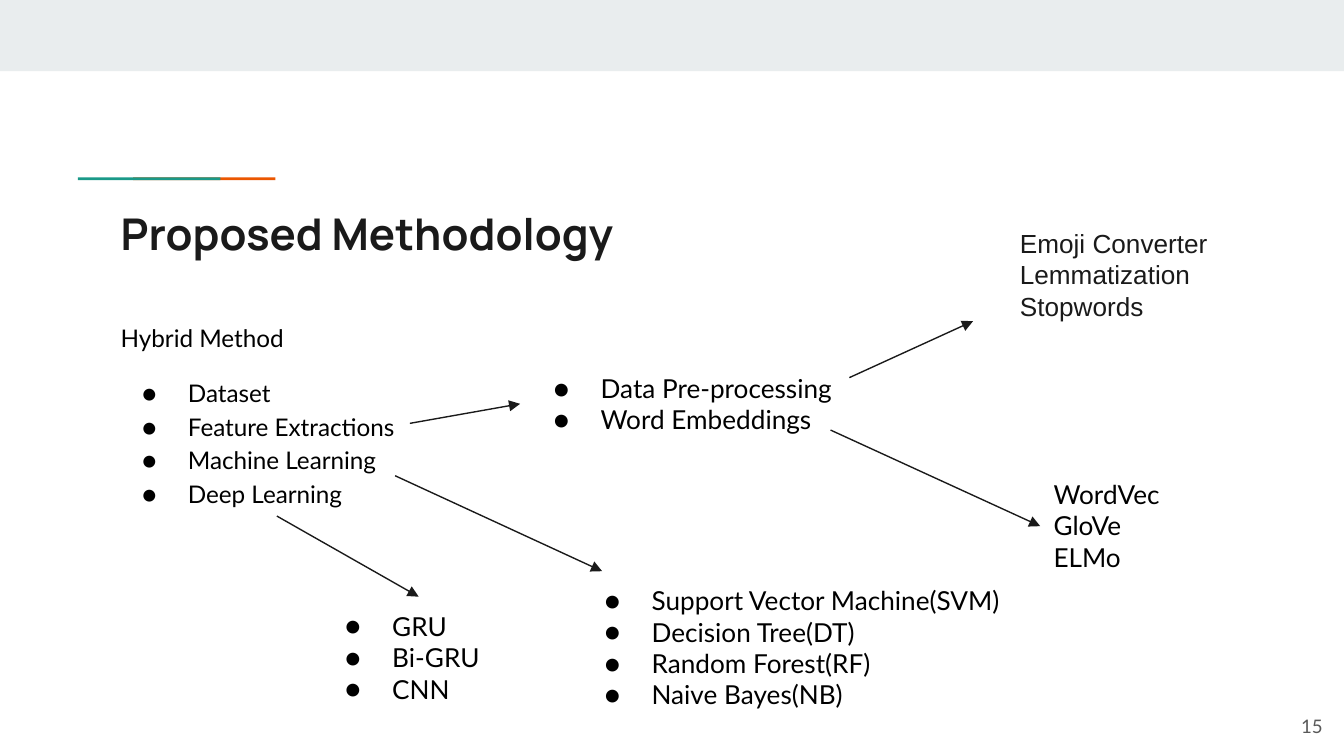
from lxml import etree
from pptx import Presentation
from pptx import util as u
from pptx.dml.color import RGBColor
from pptx.enum import shapes, text
from pptx.oxml.ns import qn

PX = 9144  # 100 px to the inch
WIDTH = 1000

INK, BLACK, GREY = "1A1A1A", "000000", "595959"

# Bars: left, top, width, height, colour
BARS = [
    (0, 0, WIDTH, 53, "E9EDEE"),
    (99, 132, 106, 2, "EB5600"),
    (58, 132, 106, 2, "1A9988"),
]

LATO = {"size": u.Pt(14), "name": "Lato", "color": BLACK}
TITLE = {"size": u.Pt(23.4), "name": "Manrope", "color": INK, "bold": True}
BODY = {**LATO, "size": u.Pt(13)}
ARIAL = {**LATO, "name": "Arial", "color": INK}
NUMBER = {"size": u.Pt(10), "name": "Lato", "color": GREY}

# Text boxes: name -> (left, top, width, height), font, bullet indent, lines
BOXES = {
    "title": ((80, 144, 841, 59), TITLE, 0, ["Proposed Methodology"]),
    "body": ((80, 227, 841, 247), BODY, 0, ["Hybrid Method"]),
    "deep learning": ((232, 444, 159, 91), LATO, 35, ["GRU", "Bi-GRU", "CNN"]),
    "embeddings": ((774, 346, 132, 91), LATO, 0, ["WordVec", "GloVe", "ELMo"]),
    "features": ((387, 267, 255, 67), LATO, 35,
                 ["Data Pre-processing", "Word Embeddings"]),
    "pre-processing": ((749, 159, 204, 91), ARIAL, 0,
                       ["Emoji Converter", "Lemmatization", "Stopwords"]),
    "machine learning": ((425, 425, 333, 138), LATO, 35,
                         ["Support Vector Machine(SVM)", "Decision Tree(DT)",
                          "Random Forest(RF)", "Naive Bayes(NB)"]),
    "page number": ((934, 519, 60, 43), NUMBER, 0, ["15"]),
}
STEPS = ["Dataset", "Feature Extractions", "Machine Learning", "Deep Learning"]

# Arrows: from, to, joined box and side (0 top, 1 left)
ARROWS = [
    ((206, 384), (311, 444), ("deep learning", 0)),
    ((618, 320), (774, 391), ("embeddings", 1)),
    ((305, 315), (387, 301), ("features", 1)),
    ((632, 281), (724, 239), None),
    ((294, 354), (448, 425), None),
]


def px(*values):
    return [u.Emu(value * PX) for value in values]


def color(code):
    return RGBColor.from_string(code)


def add_bullet(paragraph, indent, font_name):
    properties = paragraph._p.get_or_add_pPr()
    properties.set("marL", str(50 * PX))
    properties.set("indent", str(-indent * PX))
    bullet_color = etree.SubElement(properties, qn("a:buClr"))
    etree.SubElement(bullet_color, qn("a:srgbClr"), val=BLACK)
    etree.SubElement(properties, qn("a:buFont"), typeface=font_name)
    etree.SubElement(properties, qn("a:buChar"), char="●")


def add_line(paragraph, line, font, indent):
    if indent:
        add_bullet(paragraph, indent, font["name"])
    run = paragraph.add_run()
    run.text = line
    for key, value in font.items():
        if key == "color":
            run.font.color.rgb = color(value)
        else:
            setattr(run.font, key, value)


def add_box(slide, place, font, indent, lines):
    box = slide.shapes.add_textbox(*px(*place))
    frame = box.text_frame
    frame.word_wrap = True
    for side in ("left", "top", "right", "bottom"):
        setattr(frame, f"margin_{side}", px(10)[0])
    for index, line in enumerate(lines):
        paragraph = frame.add_paragraph() if index else frame.paragraphs[0]
        add_line(paragraph, line, font, indent)
    return box


def add_arrow(slide, start, end, target):
    arrow = slide.shapes.add_connector(
        shapes.MSO_CONNECTOR.STRAIGHT, *px(*start, *end))
    if target:
        arrow.end_connect(*target)
    arrow.line.color.rgb = color(INK)
    arrow.line.width = u.Pt(0.75)
    etree.SubElement(arrow.line._get_or_add_ln(), qn("a:tailEnd"), type="triangle")
    etree.SubElement(arrow._element.spPr, qn("a:effectLst"))


def main():
    presentation = Presentation()
    presentation.slide_width = u.Emu(WIDTH * PX)
    presentation.slide_height = u.Emu(WIDTH * PX * 9 // 16)
    slide = presentation.slides.add_slide(presentation.slide_layouts[6])

    # Top band and accent line
    for *place, fill in BARS:
        bar = slide.shapes.add_shape(shapes.MSO_SHAPE.RECTANGLE, *px(*place))
        bar.shadow.inherit = False
        bar.fill.solid()
        bar.fill.fore_color.rgb = color(fill)
        bar.line.fill.background()

    # Text
    boxes = {name: add_box(slide, *content) for name, content in BOXES.items()}
    number = boxes["page number"].text_frame
    number.vertical_anchor = text.MSO_ANCHOR.MIDDLE
    number.paragraphs[0].alignment = text.PP_ALIGN.RIGHT

    # Steps of the method, below its heading
    body = boxes["body"].text_frame
    for step in STEPS:
        add_line(body.add_paragraph(), step, BODY, 34)
    for paragraph in body.paragraphs:
        paragraph.line_spacing = 1.15
    body.paragraphs[1].space_before = u.Pt(12)

    # Arrows
    for start, end, target in ARROWS:
        joined = (boxes[target[0]], target[1]) if target else None
        add_arrow(slide, start, end, joined)

    presentation.save("out.pptx")


if __name__ == "__main__":
    main()
